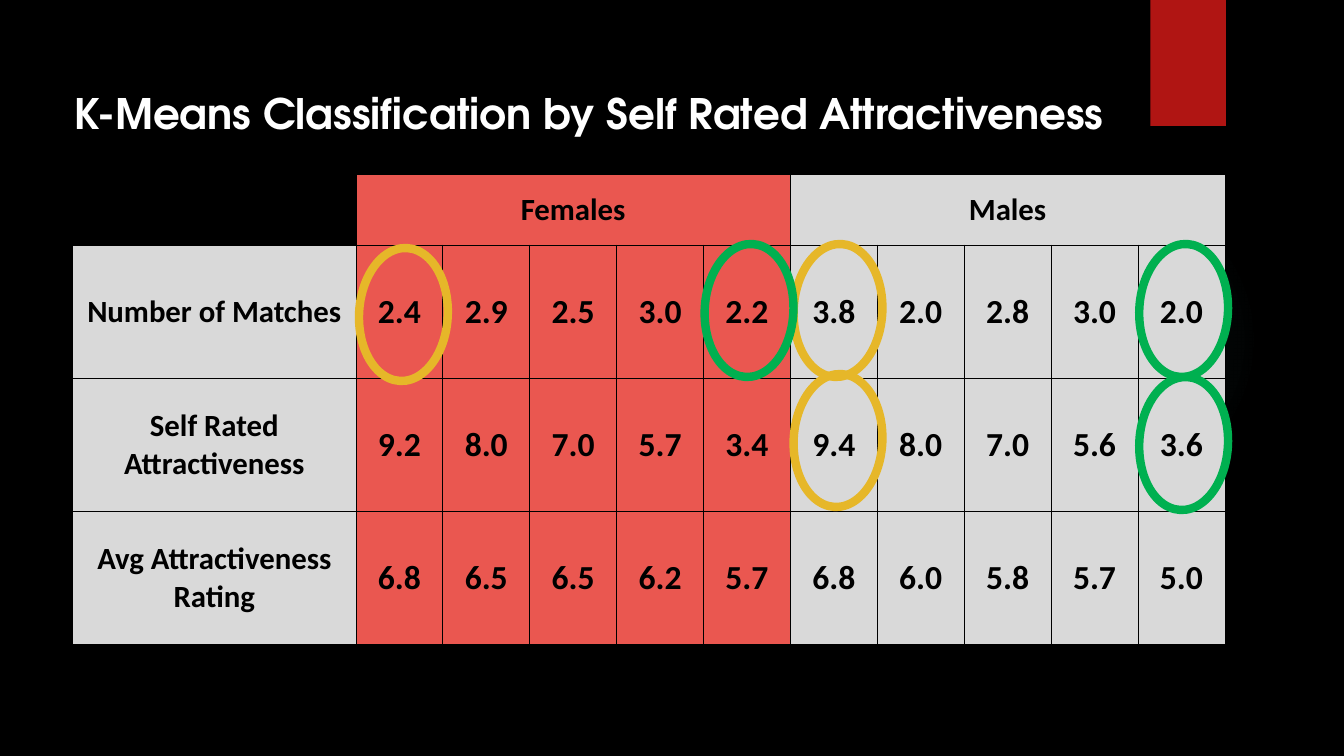
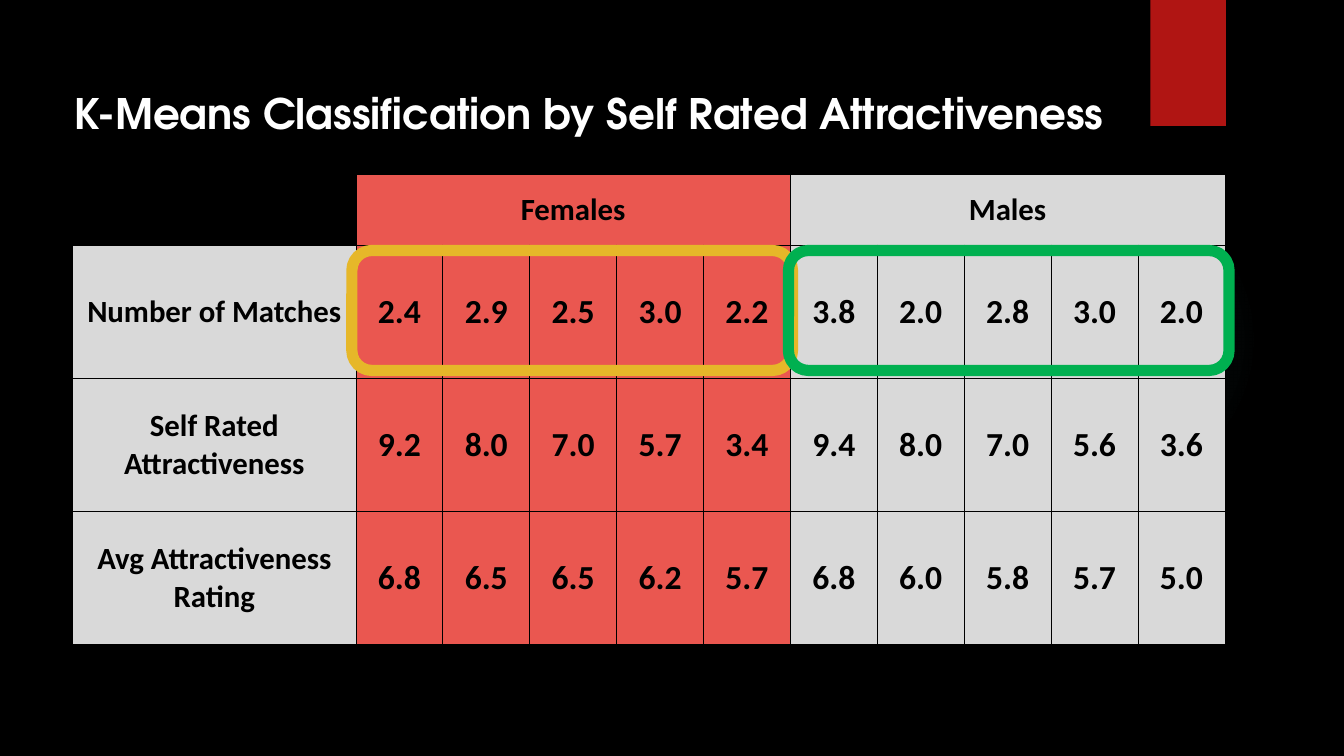
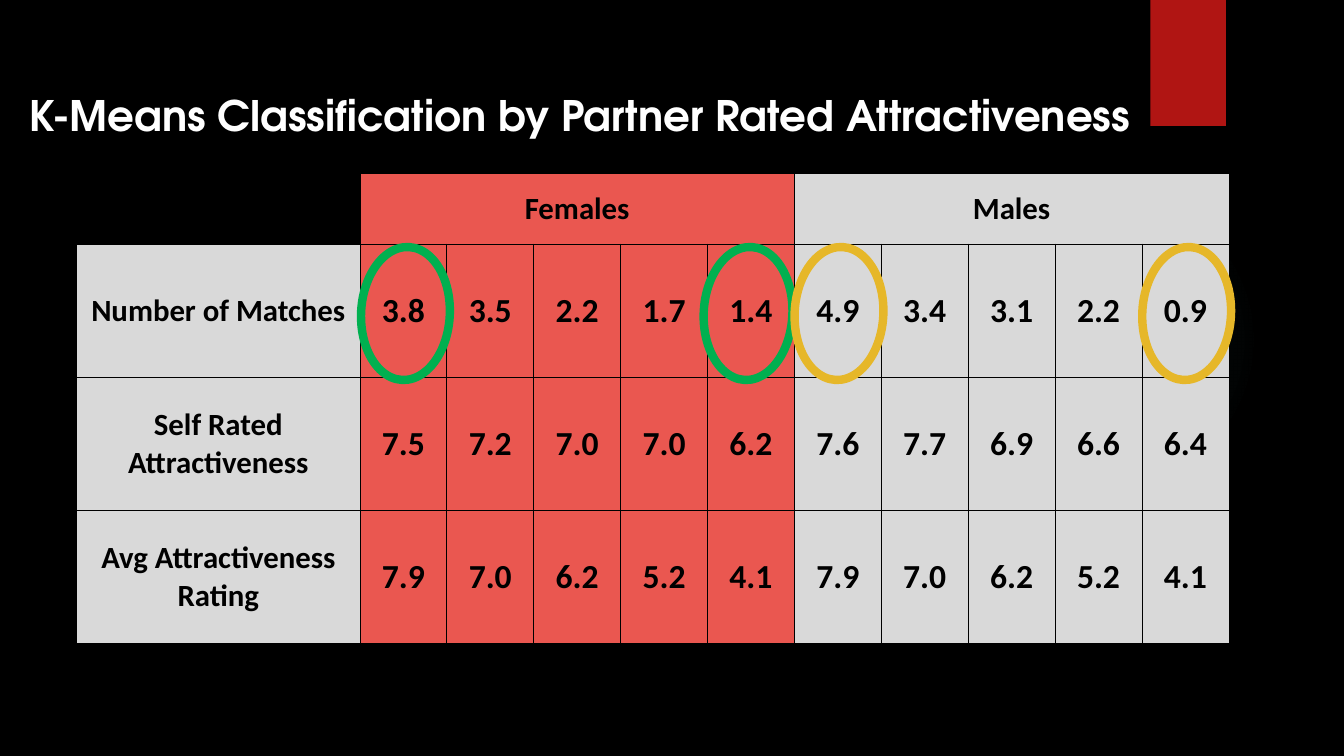
from dataclasses import dataclass
from pptx import Presentation
from pptx.dml.color import RGBColor
from pptx.enum.shapes import MSO_SHAPE as Shape
from pptx.enum.text import MSO_ANCHOR as Anchor, PP_ALIGN as Align
from pptx.oxml import parse_xml
from pptx.oxml.ns import nsdecls
from pptx.util import Inches, Pt


@dataclass(frozen=True)
class Theme:
    background: str = "000000"
    tab: str = "B01513"
    glow: str = "50B9C1"
    title: str = "FFFFFF"
    ink: str = "000000"
    female: str = "EA5750"
    male: str = "D9D9D9"
    gold: str = "E6B729"
    green: str = "00B050"
    title_font: str = "TeX Gyre Adventor"
    table_font: str = "Calibri"
    title_size: int = 30
    label_size: int = 22
    value_size: int = 24
    ring_line: int = 6
    frame_line: int = 8
    border: float = 0.5


theme = Theme()

# Content
GROUPS = [("Females", theme.female), ("Males", theme.male)]
ROW_LABELS = ["Number of Matches", "Self Rated Attractiveness", "Avg Attractiveness Rating"]
SELF_TITLE = "K-Means Classification by Self Rated Attractiveness"
SELF_VALUES = [
    "2.4 2.9 2.5 3.0 2.2 3.8 2.0 2.8 3.0 2.0".split(),
    "9.2 8.0 7.0 5.7 3.4 9.4 8.0 7.0 5.6 3.6".split(),
    "6.8 6.5 6.5 6.2 5.7 6.8 6.0 5.8 5.7 5.0".split(),
]
PARTNER_VALUES = [
    "3.8 3.5 2.2 1.7 1.4 4.9 3.4 3.1 2.2 0.9".split(),
    "7.5 7.2 7.0 7.0 6.2 7.6 7.7 6.9 6.6 6.4".split(),
    "7.9 7.0 6.2 5.2 4.1 7.9 7.0 6.2 5.2 4.1".split(),
]
# Rings: value column, value row, colour, nudge from the cell centre
# Frames: group, value row, colour, nudge from the group centre
SLIDES = [
    {"title": SELF_TITLE, "title_box": (0.64, 0.82, 10.49, 0.61),
     "table_at": (0.72, 1.73), "values": SELF_VALUES, "frames": [],
     "rings": [(9, 1, theme.green, (0.02, -0.01)), (5, 0, theme.gold, (0.04, -0.01)),
               (5, 1, theme.gold, (0.04, -0.04)), (9, 0, theme.green, (0.02, -0.01)),
               (4, 0, theme.green, (0.02, -0.01)), (0, 0, theme.gold, (0.04, 0.03))]},
    {"title": SELF_TITLE, "title_box": (0.64, 0.82, 10.49, 0.61),
     "table_at": (0.72, 1.73), "values": SELF_VALUES, "rings": [],
     "frames": [(0, 0, theme.gold, (-0.01, -0.01)), (1, 0, theme.green, (0.01, -0.01))]},
    {"title": "K-Means Classification by Partner Rated Attractiveness",
     "title_box": (0.19, 0.84, 11.53, 0.61),
     "table_at": (0.76, 1.72), "values": PARTNER_VALUES, "frames": [],
     "rings": [(4, 0, theme.green, (-0.03, 0.03)), (0, 0, theme.green, (0.02, 0.03)),
               (9, 0, theme.gold, (0.01, 0.03)), (5, 0, theme.gold, (0.01, 0.03))]},
]

# Geometry in inches
TABLE_WIDTH, LABEL_WIDTH = 11.43, 2.81
HEADER_HEIGHT, ROW_HEIGHT = 0.7, 1.32
GROUP_SIZE = 5
VALUE_WIDTH = (TABLE_WIDTH - LABEL_WIDTH) / (GROUP_SIZE * len(GROUPS))
TABLE_HEIGHT = HEADER_HEIGHT + ROW_HEIGHT * len(ROW_LABELS)
RING_SIZE, RING_TURN = (1.32, 0.88), 93
FRAME_SIZE = (4.37, 1.19)
GLOW_STOPS = [(0, 7), (36, 6), (69, 0)]


def rgb(value):
    return RGBColor.from_string(value)


def apply(target, formats):
    for name, value in formats.items():
        setattr(target, name, value)


def write(paragraph, text, font, size, colour):
    run = paragraph.add_run()
    run.text = text
    apply(run.font, {"name": font, "size": Pt(size), "bold": True})
    run.font.color.rgb = rgb(colour)


def add_plain_shape(slide, kind, box):
    shape = slide.shapes.add_shape(kind, *map(Inches, box))
    shape.shadow.inherit = False
    shape.line.fill.background()
    return shape


# Shared backdrop
def add_backdrop(slide):
    slide.background.fill.solid()
    slide.background.fill.fore_color.rgb = rgb(theme.background)
    glow = add_plain_shape(slide, Shape.OVAL, (9.41, 1.83, 3.08, 3.08))
    stops = "".join(
        f'<a:gs pos="{place * 1000}"><a:srgbClr val="{theme.glow}">'
        f'<a:alpha val="{alpha * 1000}"/></a:srgbClr></a:gs>' for place, alpha in GLOW_STOPS)
    gradient = parse_xml(
        f'<a:gradFill {nsdecls("a")}><a:gsLst>{stops}</a:gsLst><a:path path="circle">'
        '<a:fillToRect l="50000" t="50000" r="50000" b="50000"/></a:path></a:gradFill>')
    glow._element.spPr.find("{*}prstGeom").addnext(gradient)
    tab = add_plain_shape(slide, Shape.RECTANGLE, (11.41, 0, 0.75, 1.25))
    tab.fill.solid()
    tab.fill.fore_color.rgb = rgb(theme.tab)


def add_title(slide, text, box):
    frame = slide.shapes.add_textbox(*map(Inches, box)).text_frame
    frame.word_wrap = True
    write(frame.paragraphs[0], text, theme.title_font, theme.title_size, theme.title)


# Table
def set_borders(cell):
    properties = cell._tc.get_or_add_tcPr()
    for index, side in enumerate("LRTB"):
        properties.insert(index, parse_xml(
            f'<a:ln{side} {nsdecls("a")} w="{Pt(theme.border)}"><a:solidFill>'
            f'<a:srgbClr val="{theme.ink}"/></a:solidFill></a:ln{side}>'))


def fill_cell(cell, text, size, colour):
    edge = Inches(0.01)
    apply(cell, {"vertical_anchor": Anchor.MIDDLE, "margin_left": edge,
                 "margin_right": edge, "margin_top": edge, "margin_bottom": 0})
    cell.fill.solid()
    cell.fill.fore_color.rgb = rgb(colour)
    paragraph = cell.text_frame.paragraphs[0]
    paragraph.alignment = Align.CENTER
    write(paragraph, text, theme.table_font, size, theme.ink)


def add_ratings_table(slide, place, values):
    table = slide.shapes.add_table(
        len(values) + 1, len(values[0]) + 1,
        *map(Inches, (*place, TABLE_WIDTH, TABLE_HEIGHT))).table
    apply(table, {"first_row": False, "horz_banding": False})
    for index, column in enumerate(table.columns):
        column.width = Inches(VALUE_WIDTH if index else LABEL_WIDTH)
    for index, row in enumerate(table.rows):
        row.height = Inches(ROW_HEIGHT if index else HEADER_HEIGHT)
    for cell in table.iter_cells():
        set_borders(cell)
    table.cell(0, 0).fill.background()
    for index, (name, colour) in enumerate(GROUPS):
        first = 1 + index * GROUP_SIZE
        header = table.cell(0, first)
        header.merge(table.cell(0, first + GROUP_SIZE - 1))
        fill_cell(header, name, theme.label_size, colour)
    for row, (label, numbers) in enumerate(zip(ROW_LABELS, values), 1):
        fill_cell(table.cell(row, 0), label, theme.label_size, theme.male)
        for column, number in enumerate(numbers):
            colour = GROUPS[column // GROUP_SIZE][1]
            fill_cell(table.cell(row, column + 1), number, theme.value_size, colour)


# Highlights
def add_highlight(slide, kind, centre, size, colour, weight, turn=0):
    box = [middle - length / 2 for middle, length in zip(centre, size)]
    shape = add_plain_shape(slide, kind, (*box, *size))
    shape.fill.background()
    shape.line.color.rgb = rgb(colour)
    shape.line.width = Pt(weight)
    shape.rotation = turn


def centre_of(place, column, row, nudge):
    return (place[0] + LABEL_WIDTH + column * VALUE_WIDTH + nudge[0],
            place[1] + HEADER_HEIGHT + (row + 0.5) * ROW_HEIGHT + nudge[1])


# Build
presentation = Presentation()
apply(presentation, {"slide_width": Inches(13.33), "slide_height": Inches(7.5)})
for content in SLIDES:
    slide = presentation.slides.add_slide(presentation.slide_layouts[6])
    place = content["table_at"]
    add_backdrop(slide)
    add_title(slide, content["title"], content["title_box"])
    add_ratings_table(slide, place, content["values"])
    for column, row, colour, nudge in content["rings"]:
        add_highlight(slide, Shape.OVAL, centre_of(place, column + 0.5, row, nudge),
                      RING_SIZE, colour, theme.ring_line, RING_TURN)
    for group, row, colour, nudge in content["frames"]:
        add_highlight(slide, Shape.ROUNDED_RECTANGLE,
                      centre_of(place, (group + 0.5) * GROUP_SIZE, row, nudge),
                      FRAME_SIZE, colour, theme.frame_line)
presentation.save("out.pptx")
